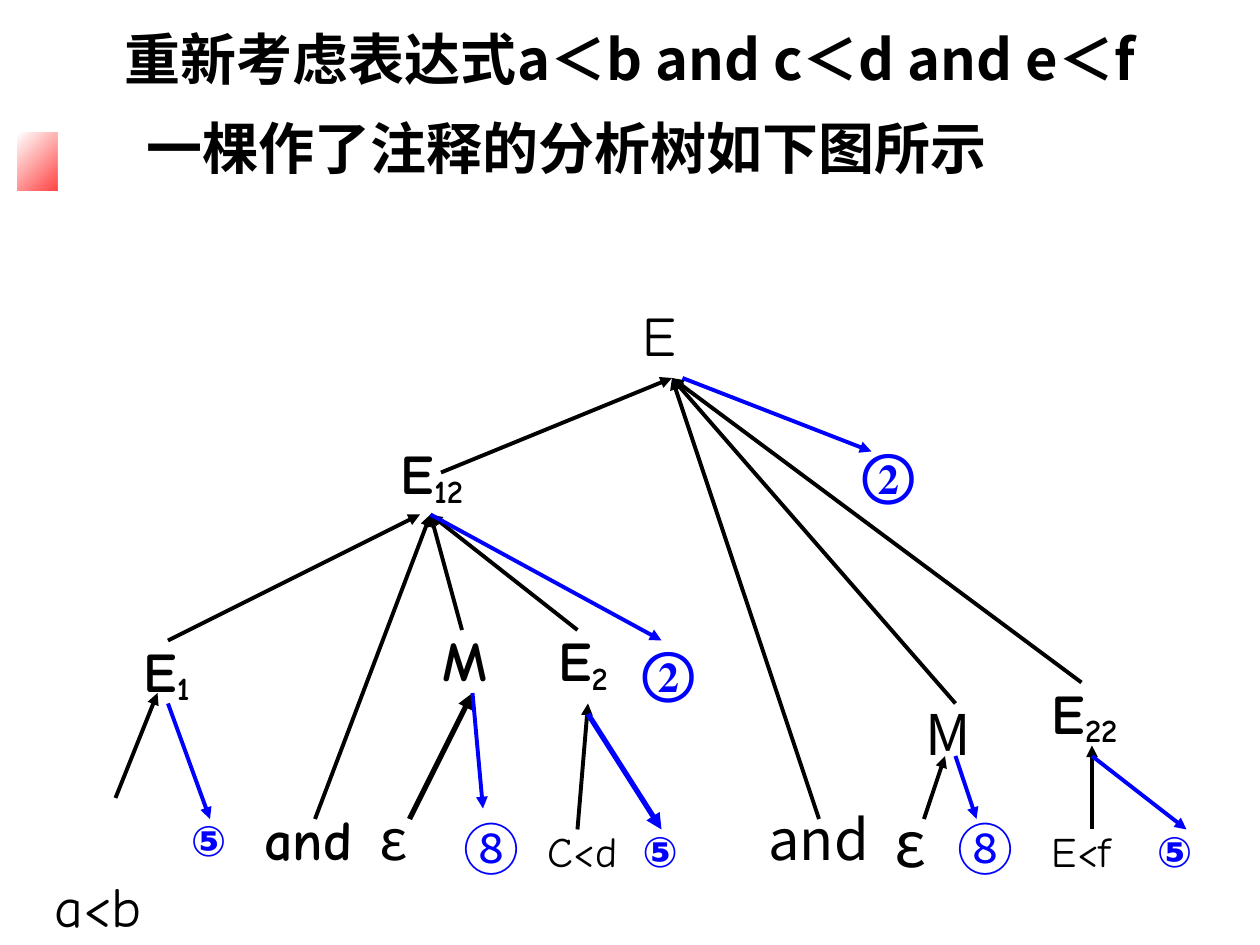
from dataclasses import dataclass

from lxml.etree import SubElement as add_sub
from pptx import Presentation
from pptx.dml.color import RGBColor as Rgb
from pptx.enum.shapes import MSO_CONNECTOR as Link, MSO_SHAPE as Form
from pptx.enum.text import MSO_ANCHOR as Anchor, MSO_AUTO_SIZE as Fit, PP_ALIGN as Align
from pptx.oxml.ns import qn
from pptx.util import Inches, Pt

COLS, ROWS = 120, 90


@dataclass(frozen=True)
class Theme:
    ink: str = "000000"
    mark: str = "0000FF"
    paper: str = "FFFFFF"
    accent: str = "FF0000"
    hand: str = "Comic Neue"
    sans: str = "Noto Sans CJK JP"
    head: str = "Noto Sans CJK SC"
    serif: str = "Times New Roman"
    small: int = 24
    base: int = 32
    large: int = 36
    thin: float = 2.25
    thick: float = 3


T = Theme()


@dataclass(frozen=True)
class Style:
    font: str
    size: int = T.base
    bold: bool = False
    color: str = T.ink


@dataclass(frozen=True)
class Node:
    text: str
    col: float
    row: float
    wide: float
    style: Style
    sub: str = ""


@dataclass(frozen=True)
class Edge:
    start: tuple[int, int]
    end: tuple[int, int]
    color: str = T.ink
    width: float = T.thin


# Text styles
PLAIN = Style(T.hand)
BOLD = Style(T.hand, bold=True)
LEAF = Style(T.hand, T.small)
SANS = Style(T.sans)
HEAD = Style(T.head, bold=True)
EPS = Style(T.head)
EPS_BIG = Style(T.head, T.large)
TWO = Style(T.serif, bold=True, color=T.mark)
FIVE = Style(T.hand, T.small, True, T.mark)
EIGHT = Style(T.sans, color=T.mark)

# Tree nodes: grid column, row and width
NODES = [
    Node("E", 60, 28, 9, PLAIN),
    Node("E", 37, 41.2, 11, BOLD, "12"),
    Node("E", 12.5, 60, 9, BOLD, "1"),
    Node("M", 41, 59, 9, BOLD),
    Node("E", 52, 59, 11, BOLD, "2"),
    Node("M", 87, 66, 8, SANS),
    Node("E", 99, 64, 11, BOLD, "22"),
    Node("a<b", 4, 82.4, 12, PLAIN),
    Node("and", 24, 76, 12, BOLD),
    Node("ε", 35, 76, 8, EPS),
    Node("C<d", 51, 78, 10, LEAF),
    Node("and", 72, 76, 15, SANS),
    Node("ε", 84, 76, 7, EPS_BIG),
    Node("E<f", 99, 78, 10, LEAF),
    Node("②", 81, 41.2, 10, TWO),
    Node("②", 60, 60, 8, TWO),
    Node("⑤", 17, 77, 6, FIVE),
    Node("⑤", 60, 78, 9, FIVE),
    Node("⑤", 109, 78, 8, FIVE),
    Node("⑧", 43, 77, 7, EIGHT),
    Node("⑧", 90, 77, 8, EIGHT),
]

# Children pointing at a shared parent
FANS = {
    (64, 36): [(42, 45), (78, 78), (91, 67), (103, 65)],
    (41, 49): [(30, 78), (44, 60), (55, 60)],
}
EDGES = [Edge(kid, top) for top, kids in FANS.items() for kid in kids] + [
    Edge((16, 61), (40, 49)),
    Edge((11, 76), (15, 66)),
    Edge((39, 78), (45, 66), width=T.thick),
    Edge((55, 79), (56, 67)),
    Edge((88, 78), (90, 72)),
    Edge((104, 79), (104, 71)),
    # Annotations
    Edge((65, 36), (83, 43), T.mark),
    Edge((41, 49), (63, 61), T.mark),
    Edge((16, 67), (20, 78), T.mark),
    Edge((45, 66), (46, 77), T.mark),
    Edge((56, 68), (63, 79), T.mark, T.thick),
    Edge((91, 72), (93, 78), T.mark),
    Edge((104, 72), (113, 79), T.mark),
]

deck = Presentation()
deck.slide_width, deck.slide_height = Inches(10), Inches(7.5)


def col(n: float) -> int:
    return round(deck.slide_width * n / COLS)


def row(n: float) -> int:
    return round(deck.slide_height * n / ROWS)


def format_run(run, style: Style) -> None:
    font = run.font
    font.name, font.size, font.bold = style.font, Pt(style.size), style.bold
    font.color.rgb = Rgb.from_string(style.color)
    add_sub(font._element, qn("a:ea"), typeface=style.font)


def draw_node(slide, node: Node) -> None:
    box = slide.shapes.add_textbox(col(node.col), row(node.row), col(node.wide),
                                   Pt(node.style.size * 1.2) + Inches(0.1))
    box.text_frame.word_wrap = True
    box.text_frame.text = node.text
    para = box.text_frame.paragraphs[0]
    if node.sub:
        low = para.add_run()
        low.text = node.sub
        low.font._element.set("baseline", "-15000")
    for run in para.runs:
        format_run(run, node.style)


def draw_edge(slide, edge: Edge) -> None:
    (x1, y1), (x2, y2) = edge.start, edge.end
    link = slide.shapes.add_connector(Link.STRAIGHT, col(x1), row(y1), col(x2), row(y2))
    link.line.width = Pt(edge.width)
    link.line.color.rgb = Rgb.from_string(edge.color)
    add_sub(link.line._get_or_add_ln(), qn("a:tailEnd"), type="triangle")
    add_sub(link._element.spPr, qn("a:effectLst"))


def draw_accent(slide) -> None:
    block = slide.shapes.add_shape(Form.RECTANGLE, Inches(0.14), Inches(1.05),
                                   Inches(0.61), Inches(0.46))
    block.shadow.inherit = False
    block.line.fill.background()
    block.fill.gradient()
    block.fill.gradient_angle = 315
    for stop, color, place in zip(block.fill.gradient_stops, (T.paper, T.accent), (0, 1)):
        stop.color.rgb, stop.position = Rgb.from_string(color), place


def draw_title(slide) -> None:
    title = slide.shapes.title
    title.left, title.top = Inches(0.46), Inches(0.25)
    title.width, title.height = Inches(9.08), Inches(1.66)
    title.fill.solid()
    title.fill.fore_color.rgb = Rgb.from_string(T.paper)
    frame = title.text_frame
    frame.text = "重新考虑表达式a＜b and c＜d and e＜f\n一棵作了注释的分析树如下图所示"
    frame.word_wrap, frame.auto_size = True, Fit.NONE
    frame.vertical_anchor = Anchor.TOP
    for para, align in zip(frame.paragraphs, (Align.CENTER, Align.LEFT)):
        para.alignment, para.line_spacing, para.space_before = align, 0.8, Pt(20)
        format_run(para.runs[0], HEAD)
    frame.paragraphs[1]._p.get_or_add_pPr().set("marL", str(Inches(0.6)))
    slide.shapes._spTree.append(title._element)  # in front of the accent


def main() -> None:
    slide = deck.slides.add_slide(deck.slide_layouts[5])
    draw_accent(slide)
    draw_title(slide)
    for node in NODES:
        draw_node(slide, node)
    for edge in EDGES:
        draw_edge(slide, edge)
    deck.save("out.pptx")


if __name__ == "__main__":
    main()
